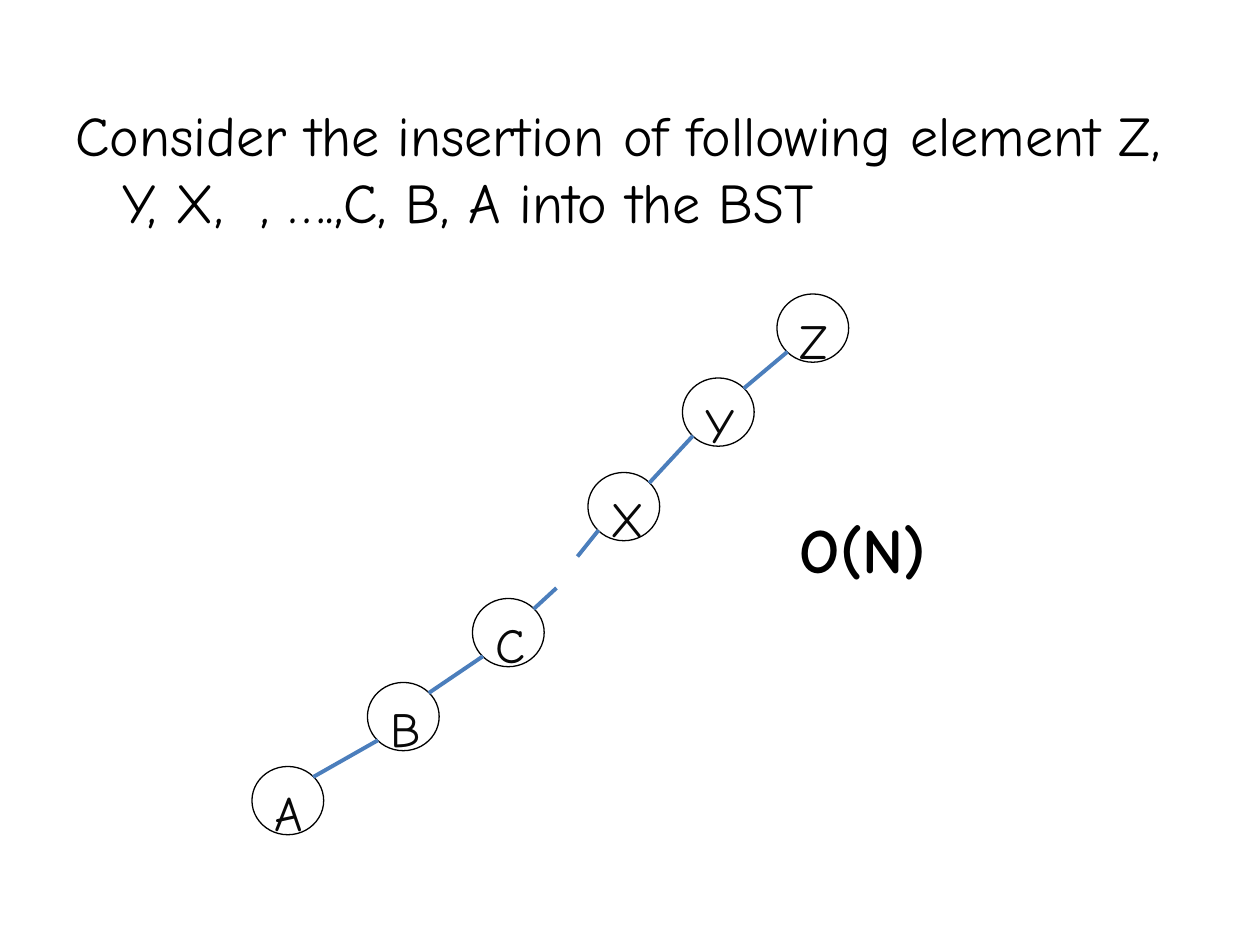
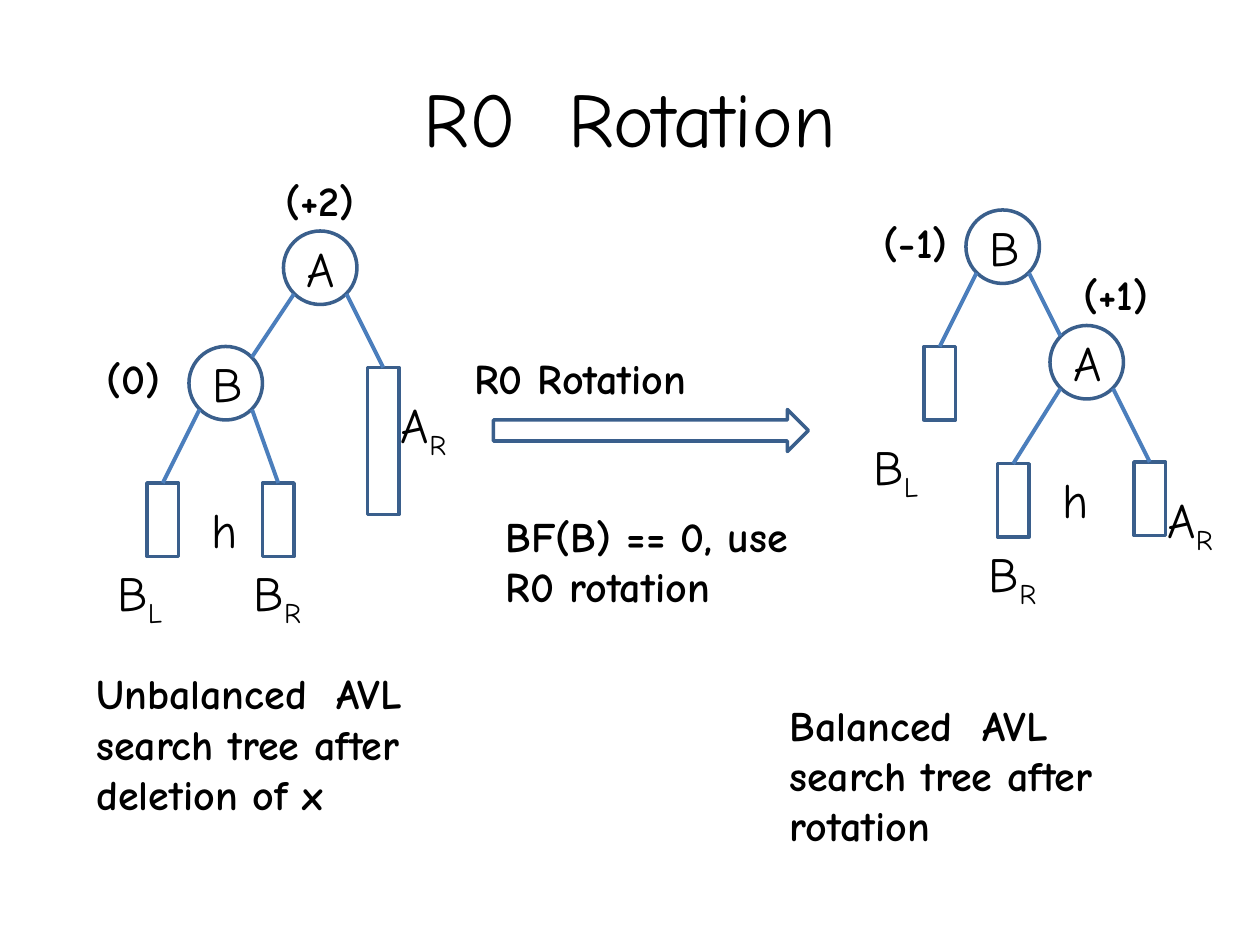
from lxml.etree import SubElement
from pptx import Presentation
from pptx.dml.color import RGBColor
from pptx.enum.shapes import MSO_CONNECTOR as Connector, MSO_SHAPE as Shape
from pptx.enum.text import MSO_ANCHOR as Anchor, MSO_AUTO_SIZE as AutoSize, PP_ALIGN as Align
from pptx.oxml.ns import qn
from pptx.util import Pt

FONT = "Comic Neue"
BLACK, NODE_TEXT = "000000", "080808"
OUTLINE, EDGE = "3A5F8C", "4B7EBC"
CHAIN_NODE = (41, 39)
TREE_NODE = (42, 42)
BAR_WIDTH, BAR_HEIGHT = 18, 42
CORNER = 6


def color(value):
    return RGBColor.from_string(value)


def write(frame, text, size=28, ink=BLACK, bold=False, align=Align.LEFT,
          anchor=Anchor.TOP, hanging=0, subscript=""):
    frame.word_wrap = True
    frame.vertical_anchor = anchor
    para = frame.paragraphs[0]
    para.alignment = align
    if hanging:
        properties = para._p.get_or_add_pPr()
        properties.set("marL", str(Pt(hanging)))
        properties.set("indent", str(-Pt(hanging)))
    for part in filter(None, (text, subscript)):
        span = para.add_run()
        span.text = part
        span.font.name = FONT
        span.font.size = Pt(size)
        span.font.bold = bold
        span.font.color.rgb = color(ink)
    if subscript:
        span._r.get_or_add_rPr().set("baseline", "-25000")


class Sketch:
    def __init__(self):
        self.deck = Presentation()
        self.deck.slide_width, self.deck.slide_height = Pt(720), Pt(540)
        self.page = None

    def new_page(self):
        self.page = self.deck.slides.add_slide(self.deck.slide_layouts[6])

    def text(self, left, top, width, height, words, grow=True, **style):
        box = self.page.shapes.add_textbox(Pt(left), Pt(top), Pt(width), Pt(height))
        write(box.text_frame, words, **style)
        box.text_frame.auto_size = AutoSize.SHAPE_TO_FIT_TEXT if grow else AutoSize.NONE

    def note(self, left, top, width, words, height=36):
        self.text(left, top, width, height, words, size=24, bold=True)

    def label(self, left, top, letter, subscript="", width=60):
        self.text(left, top, width, 41, letter, subscript=subscript)

    def outline(self, kind, left, top, width, height, line=OUTLINE, weight=2):
        shape = self.page.shapes.add_shape(kind, Pt(left), Pt(top), Pt(width), Pt(height))
        shape.shadow.inherit = False
        shape.fill.background()
        shape.line.color.rgb = color(line)
        shape.line.width = Pt(weight)
        return shape

    def chain_node(self, letter, spot):
        node = self.outline(Shape.OVAL, *spot, *CHAIN_NODE, line=BLACK, weight=0.75)
        write(node.text_frame, letter, ink=NODE_TEXT, align=Align.CENTER)

    def tree_node(self, letter, spot):
        node = self.outline(Shape.OVAL, *spot, *TREE_NODE)
        write(node.text_frame, letter, align=Align.CENTER, anchor=Anchor.MIDDLE)

    def bar(self, spot, height=BAR_HEIGHT):
        self.outline(Shape.RECTANGLE, *spot, BAR_WIDTH, height)

    def edge(self, start, end):
        line = self.page.shapes.add_connector(
            Connector.STRAIGHT, *(Pt(value) for value in (*start, *end)))
        line.line.color.rgb = color(EDGE)
        line.line.width = Pt(2.25)
        SubElement(line._element.spPr, qn("a:effectLst"))


def corner(spot, size, right=False, bottom=False):
    (left, top), (width, height) = spot, size
    return (left + (width - CORNER if right else CORNER),
            top + (height - CORNER if bottom else CORNER))


def bar_top(spot):
    return spot[0] + BAR_WIDTH / 2, spot[1]


def draw_insertion(sketch):
    sketch.new_page()
    sketch.text(36, 54, 648, 450,
                "Consider the insertion of following element Z, Y, X,  , ….,C, B, A into the BST",
                grow=False, size=32, hanging=27)
    chain = {"Z": (444, 168), "Y": (390, 216), "X": (336, 270),
             "C": (270, 342), "B": (210, 390), "A": (144, 438)}
    for letter, spot in chain.items():
        sketch.chain_node(letter, spot)
    for parent, child in ("ZY", "YX", "CB", "BA"):
        sketch.edge(corner(chain[parent], CHAIN_NODE, bottom=True),
                    corner(chain[child], CHAIN_NODE, right=True))
    sketch.edge(corner(chain["X"], CHAIN_NODE, bottom=True), (330, 318))
    sketch.edge((318, 336), corner(chain["C"], CHAIN_NODE, right=True))
    sketch.text(450, 288, 156, 51, "O(N)", size=36, bold=True)


def draw_unbalanced_tree(sketch):
    node_a, node_b = (162, 132), (108, 198)
    bar_ar, bar_br, bar_bl = (210, 210), (150, 276), (84, 276)
    sketch.tree_node("A", node_a)
    sketch.tree_node("B", node_b)
    sketch.bar(bar_ar, height=2 * BAR_HEIGHT)
    sketch.bar(bar_br)
    sketch.bar(bar_bl)
    sketch.edge(corner(node_a, TREE_NODE, bottom=True), corner(node_b, TREE_NODE, right=True))
    sketch.edge(corner(node_b, TREE_NODE, bottom=True), bar_top(bar_bl))
    sketch.edge(corner(node_b, TREE_NODE, right=True, bottom=True), bar_top(bar_br))
    sketch.edge(corner(node_a, TREE_NODE, right=True, bottom=True), bar_top(bar_ar))
    sketch.label(222, 222, "A", "R")
    sketch.label(114, 282, "h", width=24)
    sketch.label(60, 318, "B", "L")
    sketch.label(138, 318, "B", "R")
    sketch.note(54, 198, 66, "(0)")
    sketch.note(156, 96, 90, "(+2)")
    sketch.note(48, 378, 228, "Unbalanced  AVL search tree after deletion of x", height=94)


def draw_balanced_tree(sketch):
    node_b, node_a = (552, 120), (600, 186)
    bar_bl, bar_br, bar_ar = (528, 198), (570, 265), (648, 264)
    sketch.tree_node("B", node_b)
    sketch.tree_node("A", node_a)
    for spot in (bar_bl, bar_br, bar_ar):
        sketch.bar(spot)
    sketch.edge(corner(node_b, TREE_NODE, bottom=True), bar_top(bar_bl))
    sketch.edge(corner(node_b, TREE_NODE, right=True, bottom=True), corner(node_a, TREE_NODE))
    sketch.edge(corner(node_a, TREE_NODE, bottom=True), bar_top(bar_br))
    sketch.edge(corner(node_a, TREE_NODE, right=True, bottom=True), bar_top(bar_ar))
    sketch.label(660, 276, "A", "R")
    sketch.label(600, 265, "h", width=24)
    sketch.label(558, 307, "B", "R")
    sketch.label(492, 246, "B", "L")
    sketch.note(612, 150, 78, "(+1)")
    sketch.note(498, 120, 66, "(-1)")
    sketch.note(444, 396, 228, "Balanced  AVL search tree after rotation", height=94)


def draw_rotation(sketch):
    sketch.new_page()
    sketch.text(36, 21.6, 648, 90, "R0  Rotation", grow=False, size=44,
                align=Align.CENTER, anchor=Anchor.MIDDLE)
    sketch.outline(Shape.RIGHT_ARROW, 282, 234, 180, 24)
    sketch.note(264, 198, 156, "R0 Rotation")
    draw_unbalanced_tree(sketch)
    draw_balanced_tree(sketch)
    sketch.note(282, 288, 210, "BF(B) == 0, use R0 rotation", height=66)


def main():
    sketch = Sketch()
    draw_insertion(sketch)
    draw_rotation(sketch)
    sketch.deck.save("out.pptx")


if __name__ == "__main__":
    main()
